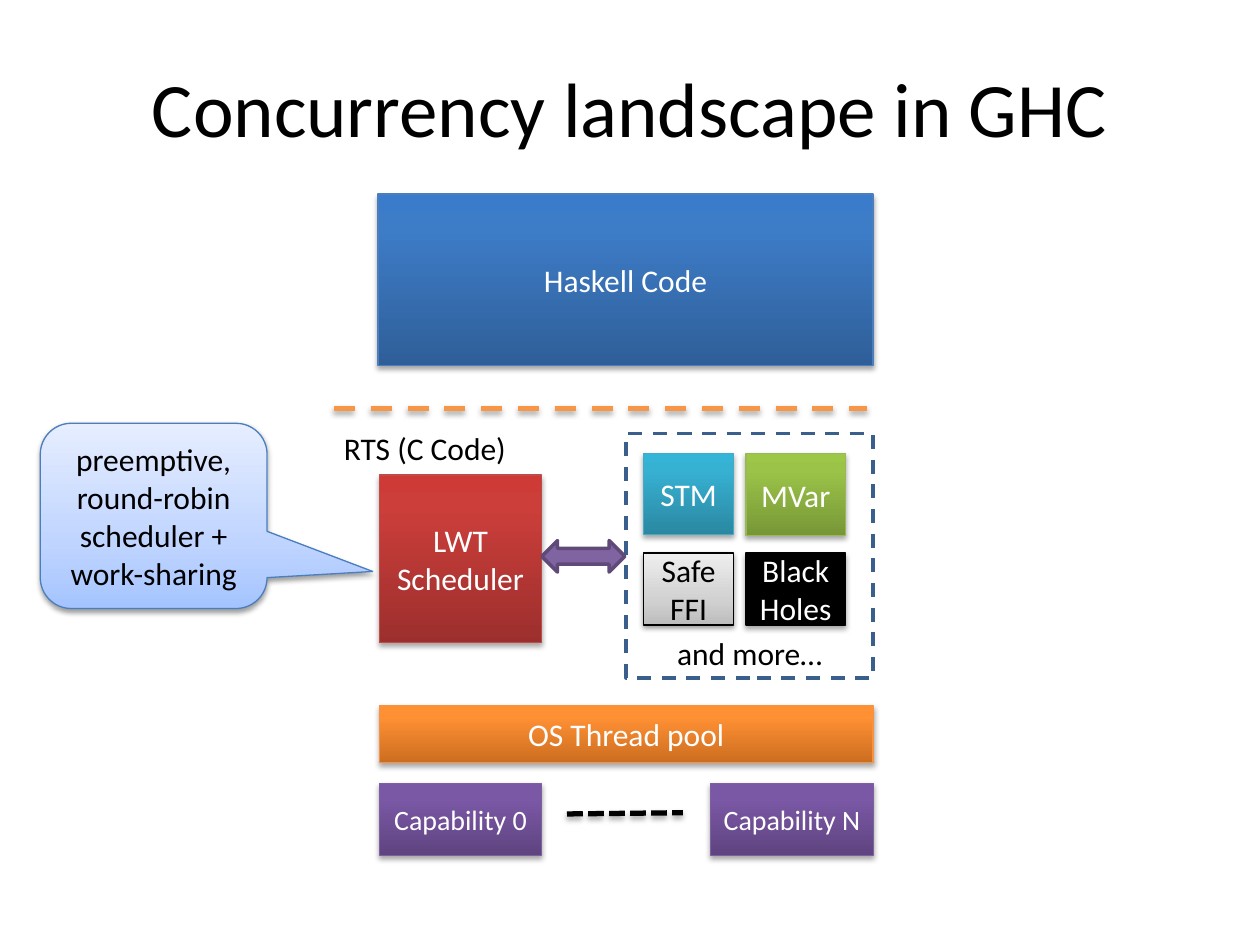
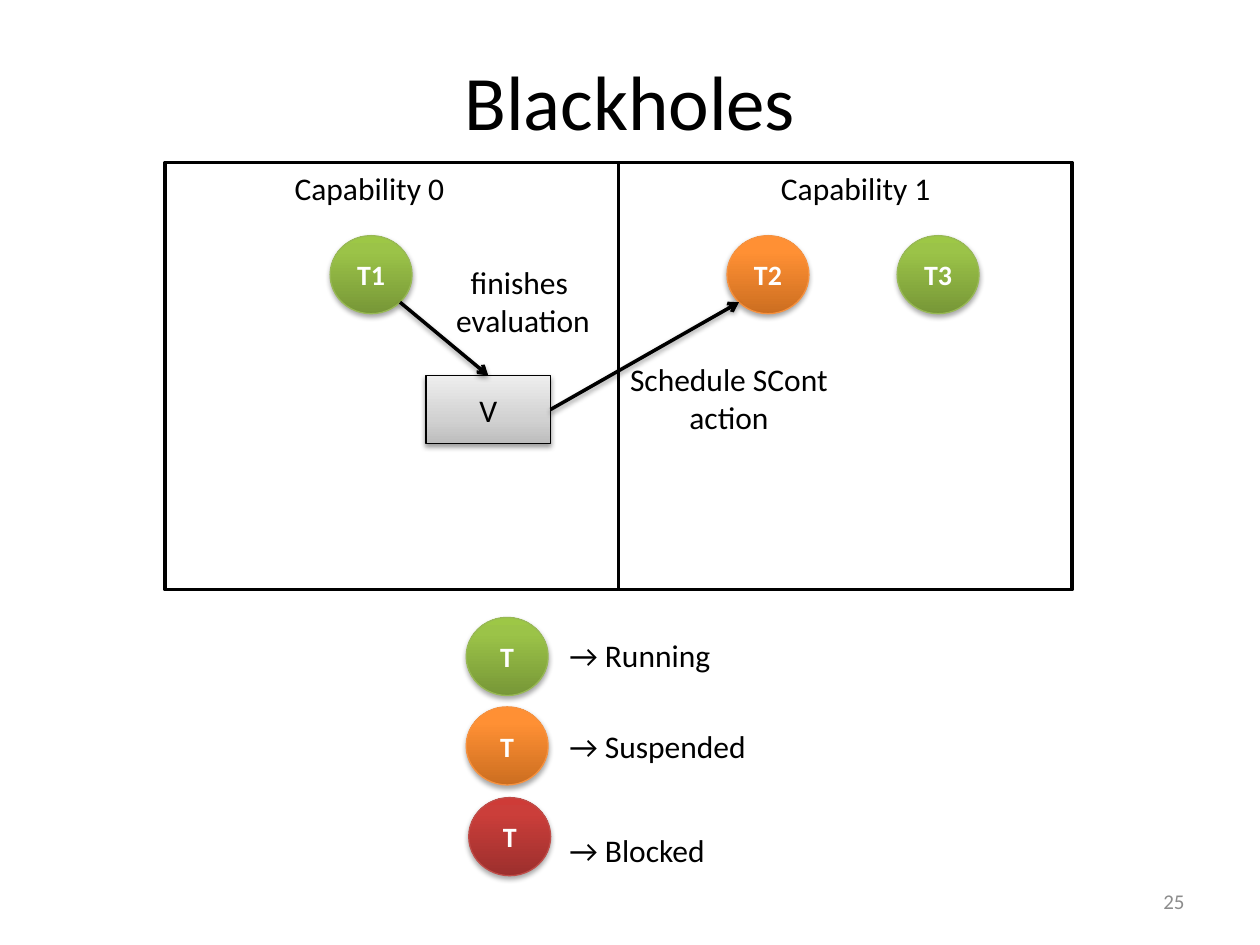
from math import sqrt

from lxml import etree
from pptx import Presentation
from pptx.dml.color import RGBColor
from pptx.enum.dml import MSO_LINE
from pptx.enum.shapes import MSO_CONNECTOR, MSO_SHAPE
from pptx.enum.text import MSO_ANCHOR, MSO_AUTO_SIZE, PP_ALIGN
from pptx.oxml.ns import qn
from pptx.util import Inches, Pt

RECT, OVAL = MSO_SHAPE.RECTANGLE, MSO_SHAPE.OVAL
CALLOUT, DOUBLE_ARROW = MSO_SHAPE.ROUNDED_RECTANGULAR_CALLOUT, MSO_SHAPE.LEFT_RIGHT_ARROW
DASH, SHORT_DASH = MSO_LINE.DASH, MSO_LINE.SQUARE_DOT
LEFT, CENTER, RIGHT = PP_ALIGN.LEFT, PP_ALIGN.CENTER, PP_ALIGN.RIGHT
MIDDLE, BOTTOM, TOP = MSO_ANCHOR.MIDDLE, MSO_ANCHOR.BOTTOM, MSO_ANCHOR.TOP


class Theme:
    """Fonts, sizes, colours and looks shared by both slides."""
    font = "Calibri"
    title, body, small, footer = 44, 18, 16, 12
    black, white, grey, orange = "000000", "FFFFFF", "8C8C8C", "F79646"
    strong_shadow = (35, 1.8)  # opacity in percent, distance in points
    soft_shadow = (38, 1.6)
    # look: (fill, line colour, line width, text colour, shadow);
    # a gradient fill lists its (percent, colour) stops from the bottom up
    looks = {
        "purple": (((0, "5F4480"), (80, "7B58A6"), (100, "7C57A8")), "7D60A0", 0.75, white, strong_shadow),
        "blue": (((0, "2F5F99"), (80, "3D7CC7"), (100, "3A7CCB")), "4B7EBC", 0.75, white, strong_shadow),
        "red": (((0, "9C2F2D"), (80, "CB3E3A"), (100, "CE3B37")), "BF4C48", 0.75, white, strong_shadow),
        "orange": (((0, "CC6E20"), (80, "FF9034"), (100, "FF9136")), "F69240", 0.75, white, strong_shadow),
        "green": (((0, "779737"), (80, "9BC348"), (100, "9DC746")), "98B955", 0.75, white, strong_shadow),
        "teal": (((0, "2A88A2"), (80, "37B1D2"), (100, "34B4D6")), "46AAC5", 0.75, white, strong_shadow),
        "black": (black, black, 0.75, white, strong_shadow),
        "silver": (((0, "BDBDBD"), (35, "D1D1D1"), (100, "EEEEEE")), black, 0.75, black, soft_shadow),
        "pale blue": (((0, "A4C4FF"), (35, "BFD4FF"), (100, "E6EEFF")), "4B7EBC", 0.75, black, soft_shadow),
        "frame": (None, "3A5F8C", 2, black, None),
        "arrow": ("8064A2", "5F4A78", 2, white, None),
        "panel": (white, black, 2, black, None),
    }


# Slide 1: (text, look, (left, top, width, height), text size)
LANDSCAPE_TITLE = "Concurrency landscape in GHC"
LAYERS = [
    ("Capability 0", "purple", (3.01, 6.22, 1.29, 0.57), Theme.small),
    ("Capability N", "purple", (5.64, 6.22, 1.29, 0.57), Theme.small),
    ("Haskell Code", "blue", (3, 1.54, 3.93, 1.36), Theme.body),
    ("LWT Scheduler", "red", (3.01, 3.77, 1.29, 1.33), Theme.body),
    ("OS Thread pool", "orange", (3.01, 5.6, 3.92, 0.45), Theme.body),
    ("MVar", "green", (5.92, 3.6, 0.79, 0.65), Theme.body),
    ("STM", "teal", (5.11, 3.6, 0.71, 0.64), Theme.body),
    ("Black\nHoles", "black", (5.92, 4.39, 0.79, 0.57), Theme.body),
    ("Safe FFI", "silver", (5.11, 4.39, 0.71, 0.57), Theme.body),
]
RTS_LABEL = ("RTS (C Code)", (2.63, 3.36, 1.58, 0.4))
SERVICES = ("and more…", (4.97, 3.44, 1.96, 1.94))
SCHEDULER_LINK = (4.3, 4.29, 0.66, 0.25)
SCHEDULER_NOTE = ("preemptive, round-robin scheduler + work-sharing", (0.32, 3.36, 1.8, 1.47))
NOTE_POINTER = (0.966, 0.3, 0.167)
RTS_BORDER = ((2.65, 3.24), (6.88, 3.24))
MORE_CAPABILITIES = ((4.5, 6.46), (5.42, 6.45))

# Slide 2
BLACKHOLES_TITLE = "Blackholes"
PAGE_NUMBER = ("25", (7.17, 6.95, 2.33, 0.4))
PANEL_LEFT, PANEL_TOP, PANEL_WIDTH, PANEL_HEIGHT = 1.31, 1.29, 3.6, 3.39
CAPABILITIES = [("Capability 0", 2.24), ("Capability 1", 6.1)]
THREAD_SIZE, THREAD_TOP = (0.65, 0.62), 1.87
THREADS = [("T1", "green", 2.62), ("T2", "orange", 5.77), ("T3", "green", 7.12)]
VALUE = ("V", (3.38, 2.98, 0.99, 0.54))
ACTIONS = [
    ("Schedule SCont\naction", (4.89, 2.81, 1.79, 0.71)),
    ("finishes \nevaluation", (3.51, 2.04, 1.28, 0.71)),
]
# (meaning, look, circle left and top, label top, label width)
LEGEND_LABEL_LEFT = 4.42
LEGEND = [
    ("→ Running", "green", (3.7, 4.9), 5, 1.35),
    ("→ Suspended", "orange", (3.7, 5.61), 5.72, 1.64),
    ("→ Blocked", "red", (3.72, 6.33), 6.55, 1.31),
]


def inches(values):
    """Turn plain numbers into lengths."""
    return [Inches(value) for value in values]


def rgb(colour):
    """Turn a hex string into a colour."""
    return RGBColor.from_string(colour)


def write(frame, text, size, colour, align=CENTER, anchor=MIDDLE, bold=False):
    """Put text in a frame, one paragraph per line, in the theme font."""
    frame.text = text
    frame.vertical_anchor = anchor
    for paragraph in frame.paragraphs:
        paragraph.alignment = align
        font = paragraph.font
        font.name, font.size, font.bold = Theme.font, Pt(size), bold
        font.color.rgb = rgb(colour)


def add_colour(parent, tag, colour_value, **attributes):
    """Append an element that holds one RGB colour; return the colour."""
    holder = etree.SubElement(parent, qn(tag), attributes)
    return etree.SubElement(holder, qn("a:srgbClr"), val=colour_value)


def paint(shape, fill):
    """Fill a shape with nothing, one colour or an upward gradient."""
    if fill is None:
        shape.fill.background()
    elif isinstance(fill, str):
        shape.fill.solid()
        shape.fill.fore_color.rgb = rgb(fill)
    else:
        shape.fill.gradient()
        shape.fill.gradient_angle = 90
        stops = shape._element.spPr.find(".//" + qn("a:gsLst"))
        for stop in list(stops):
            stops.remove(stop)
        for percent, colour in fill:
            add_colour(stops, "a:gs", colour, pos=str(percent * 1000))


def add_shadow(effects, shadow):
    """Add a downward shadow to an effect list."""
    opacity, distance = shadow
    colour = add_colour(effects, "a:outerShdw", Theme.black, blurRad=str(Pt(3.1)),
                        dist=str(Pt(distance)), dir="5400000", rotWithShape="0")
    etree.SubElement(colour, qn("a:alpha"), val=str(opacity * 1000))


def add_box(slide, text, look, place, size=Theme.body, preset=RECT, anchor=MIDDLE, bold=False):
    """Add a preset shape in one of the theme's looks."""
    fill, line_colour, line_width, text_colour, shadow = Theme.looks[look]
    box = slide.shapes.add_shape(preset, *inches(place))
    paint(box, fill)
    box.line.color.rgb = rgb(line_colour)
    box.line.width = Pt(line_width)
    box.shadow.inherit = False
    if shadow:
        add_shadow(box._element.spPr.find(qn("a:effectLst")), shadow)
    if text:
        write(box.text_frame, text, size, text_colour, anchor=anchor, bold=bold)
    return box


def add_label(slide, text, place, align=LEFT, wrap=False):
    """Add a text box that grows with its text."""
    frame = slide.shapes.add_textbox(*inches(place)).text_frame
    write(frame, text, Theme.body, Theme.black, align, TOP)
    frame.word_wrap = wrap
    frame.auto_size = MSO_AUTO_SIZE.SHAPE_TO_FIT_TEXT


def add_line(slide, start, end, shadow, colour=Theme.black, width=2, dash=None, arrow=False):
    """Add a straight line, dashed or with an arrowhead at its end."""
    line = slide.shapes.add_connector(MSO_CONNECTOR.STRAIGHT, *inches(start + end))
    line.line.color.rgb = rgb(colour)
    line.line.width = Pt(width)
    if dash:
        line.line.dash_style = dash
    properties = line._element.spPr
    if arrow:
        etree.SubElement(properties.find(qn("a:ln")), qn("a:tailEnd"), type="arrow")
    add_shadow(etree.SubElement(properties, qn("a:effectLst")), shadow)


def add_thread(slide, text, look, left, top):
    """Add a thread circle."""
    add_box(slide, text, look, (left, top) + THREAD_SIZE, Theme.small, OVAL, bold=True)


def thread_corner(left, side):
    """Find the lower diagonal point of a thread: side is 1 right, -1 left."""
    width, height = THREAD_SIZE
    return (left + width / 2 * (1 + side / sqrt(2)),
            THREAD_TOP + height / 2 * (1 + 1 / sqrt(2)))


def add_titled_slide(deck, title, height):
    """Add a title-only slide and set its title."""
    slide = deck.slides.add_slide(deck.slide_layouts[5])
    heading = slide.shapes.title
    heading.left, heading.top, heading.width, heading.height = inches((0.5, 0.3, 9, height))
    write(heading.text_frame, title, Theme.title, Theme.black)
    return slide


def build_landscape(deck):
    """Build the slide with the layers of the runtime."""
    slide = add_titled_slide(deck, LANDSCAPE_TITLE, 1.1)
    for layer in LAYERS:
        add_box(slide, *layer)
    add_line(slide, *MORE_CAPABILITIES, Theme.strong_shadow, width=3, dash=SHORT_DASH)
    add_line(slide, *RTS_BORDER, Theme.strong_shadow, Theme.orange, 3, DASH)
    add_label(slide, *RTS_LABEL, wrap=True)
    text, place = SERVICES
    services = add_box(slide, text, "frame", place, anchor=BOTTOM)
    services.line.dash_style = DASH
    add_box(slide, "", "arrow", SCHEDULER_LINK, preset=DOUBLE_ARROW)
    text, place = SCHEDULER_NOTE
    note = add_box(slide, text, "pale blue", place, preset=CALLOUT)
    for index, value in enumerate(NOTE_POINTER):
        note.adjustments[index] = value


def build_blackholes(deck):
    """Build the slide with threads on two capabilities and a legend."""
    slide = add_titled_slide(deck, BLACKHOLES_TITLE, 0.99)
    for index, (name, label_left) in enumerate(CAPABILITIES):
        left = PANEL_LEFT + index * PANEL_WIDTH
        add_box(slide, "", "panel", (left, PANEL_TOP, PANEL_WIDTH, PANEL_HEIGHT))
        add_label(slide, name, (label_left, PANEL_TOP, 1.4, 0.4))
    for name, look, left in THREADS:
        add_thread(slide, name, look, left, THREAD_TOP)
    for meaning, look, corner, label_top, label_width in LEGEND:
        add_thread(slide, "T", look, *corner)
        add_label(slide, meaning, (LEGEND_LABEL_LEFT, label_top, label_width, 0.4))

    text, place = VALUE
    add_box(slide, text, "silver", place)
    left, top, width, height = place
    finishing, woken = THREADS[0][2], THREADS[1][2]
    steps = [
        (thread_corner(finishing, 1), (left + width / 2, top)),
        ((left + width, top + height / 2), thread_corner(woken, -1)),
    ]
    for start, end in steps:
        add_line(slide, start, end, Theme.soft_shadow, arrow=True)
    for text, place in ACTIONS:
        add_label(slide, text, place, CENTER)

    text, place = PAGE_NUMBER
    number = slide.shapes.add_textbox(*inches(place)).text_frame
    number.word_wrap = True
    write(number, text, Theme.footer, Theme.grey, RIGHT)


def main():
    """Build and save the deck."""
    deck = Presentation()
    deck.slide_width, deck.slide_height = Inches(10), Inches(7.5)
    build_landscape(deck)
    build_blackholes(deck)
    deck.save("out.pptx")


main()
